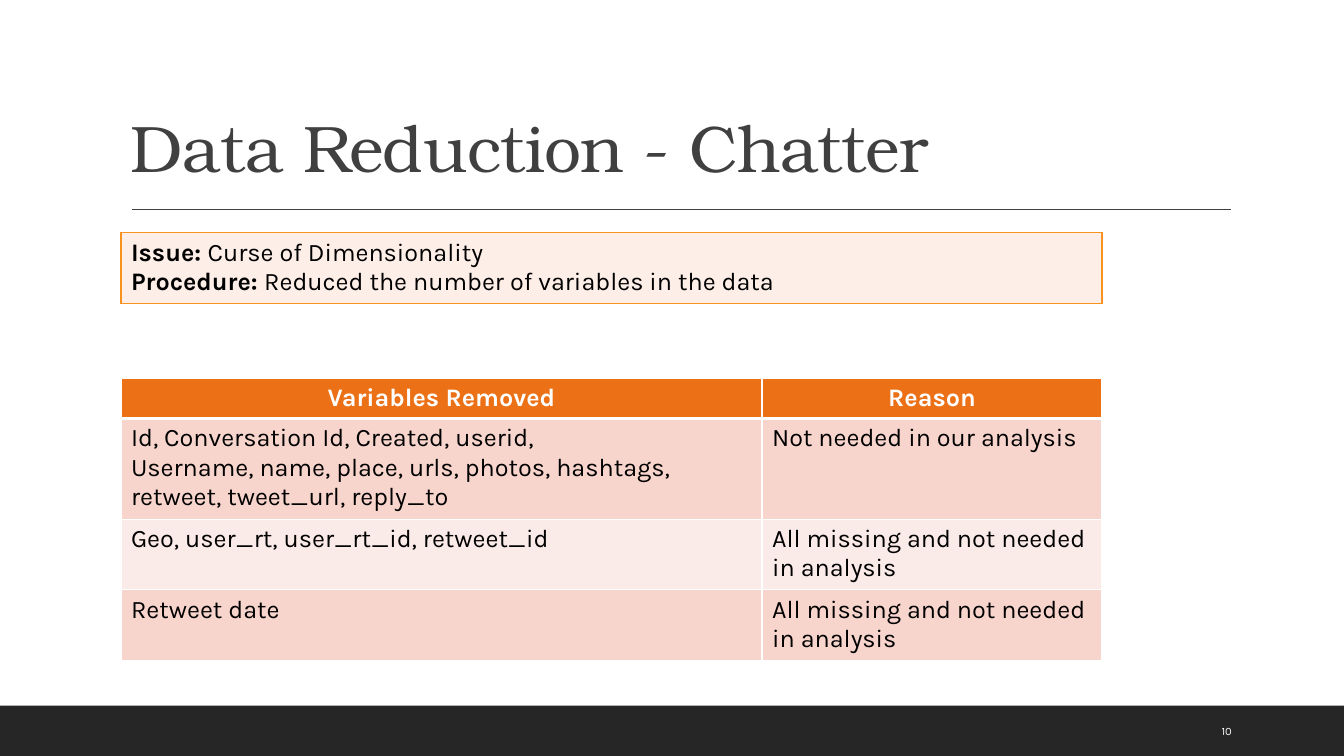
from typing import NamedTuple, Sequence

import pptx
import pptx.dml.color
import pptx.enum.shapes
import pptx.enum.text
import pptx.oxml
import pptx.oxml.ns
import pptx.util

COLOURS = {
    "ink": "000000", "paper": "FFFFFF", "title": "404040", "footer": "262626",
    "header": "EC7016", "band": "F8D5CC", "light_band": "FBEBE8",
    "note": "FEEEE8", "note_edge": "F8931D",
}
BODY_FONT = "Karla"
TITLE_FONT = "TeX Gyre Bonum"
SLIDE_WIDTH = pptx.util.Inches(13.333)
SLIDE_HEIGHT = pptx.util.Inches(7.5)
LEFT, TABLE_WIDTH = 9, 73


class Box(NamedTuple):
    """Left, top, width and height as percentages of the slide."""
    left: float
    top: float
    width: float
    height: float


class Style(NamedTuple):
    size: float
    colour: str
    font: str = BODY_FONT
    bold: bool = False


class Row(NamedTuple):
    height: float
    fill: str
    texts: Sequence[str]


def across(percent: float) -> int:
    return round(SLIDE_WIDTH * percent / 100)


def down(percent: float) -> int:
    return round(SLIDE_HEIGHT * percent / 100)


def place(box: Box) -> tuple[int, int, int, int]:
    return across(box.left), down(box.top), across(box.width), down(box.height)


def rgb(name: str) -> pptx.dml.color.RGBColor:
    return pptx.dml.color.RGBColor.from_string(COLOURS[name])


def style_run(run, style: Style) -> None:
    run.font.name = style.font
    run.font.size = pptx.util.Pt(style.size)
    run.font.bold = style.bold
    run.font.color.rgb = rgb(style.colour)


def add_text(slide, box: Box, text: str, style: Style, anchor):
    frame = slide.shapes.add_textbox(*place(box)).text_frame
    frame.word_wrap = True
    frame.vertical_anchor = anchor
    frame.text = text
    style_run(frame.paragraphs[0].runs[0], style)
    return frame.paragraphs[0]


def add_border(cell, side: str, colour: str, points: float) -> None:
    cell._tc.get_or_add_tcPr().append(pptx.oxml.parse_xml(
        f'<a:ln{side} {pptx.oxml.ns.nsdecls("a")} w="{pptx.util.Pt(points)}">'
        f'<a:solidFill><a:srgbClr val="{COLOURS[colour]}"/></a:solidFill>'
        f'</a:ln{side}>'))


def add_grid(slide, top: float, columns: Sequence[float], rows: Sequence[Row], edge: str):
    """Add a table with filled cells and plain borders."""
    box = Box(LEFT, top, sum(columns), sum(row.height for row in rows))
    grid = slide.shapes.add_table(len(rows), len(columns), *place(box)).table
    grid.first_row = grid.horz_banding = False
    for column, width in zip(grid.columns, columns):
        column.width = across(width)
    for row_index, row in enumerate(rows):
        grid.rows[row_index].height = down(row.height)
        for column_index, text in enumerate(row.texts):
            cell = grid.cell(row_index, column_index)
            cell.text_frame.text = text
            for side in "LRTB":
                below_header = (row_index, side) in ((0, "B"), (1, "T"))
                add_border(cell, side, edge, 3 if below_header and len(rows) > 1 else 1)
            cell.fill.solid()
            cell.fill.fore_color.rgb = rgb(row.fill)
            for paragraph in cell.text_frame.paragraphs:
                for run in paragraph.runs:
                    style_run(run, Style(18, "ink"))
    return grid


def add_background(slide) -> None:
    footer = slide.shapes.add_shape(
        pptx.enum.shapes.MSO_SHAPE.RECTANGLE, *place(Box(0, 93.33, 100, 6.67)))
    footer.shadow.inherit = False
    footer.fill.solid()
    footer.fill.fore_color.rgb = rgb("footer")
    footer.line.fill.background()
    rule = slide.shapes.add_connector(
        pptx.enum.shapes.MSO_CONNECTOR.STRAIGHT,
        across(9.83), down(27.73), across(91.58), down(27.73))
    rule.line.color.rgb = rgb("title")
    rule.line.width = pptx.util.Pt(1)
    rule._element.spPr.append(
        pptx.oxml.parse_xml(f'<a:effectLst {pptx.oxml.ns.nsdecls("a")}/>'))


def add_removed_variables(slide) -> None:
    missing = "All missing and not needed in analysis"
    rows = (
        Row(5.07, "header", ("Variables Removed", "Reason")),
        Row(13.07, "band", (
            "Id, Conversation Id, Created, userid,\n"
            "Username, name, place, urls, photos, hashtags, retweet, tweet_url, reply_to",
            "Not needed in our analysis")),
        Row(9.2, "light_band", ("Geo, user_rt, user_rt_id, retweet_id", missing)),
        Row(9.2, "band", ("Retweet date", missing)),
    )
    removed = add_grid(slide, 50, (47.7, 25.3), rows, "paper")
    for heading in removed.rows[0].cells:
        paragraph = heading.text_frame.paragraphs[0]
        paragraph.alignment = pptx.enum.text.PP_ALIGN.CENTER
        style_run(paragraph.runs[0], Style(18, "paper", bold=True))


def add_issue(slide) -> None:
    statements = (("Issue: ", "Curse of Dimensionality"),
                  ("Procedure: ", "Reduced the number of variables in the data"))
    labels = "\n".join(label for label, _ in statements)
    issue = add_grid(slide, 30.8, (TABLE_WIDTH,), (Row(9.2, "note", (labels,)),), "note_edge")
    for paragraph, (_, detail) in zip(issue.cell(0, 0).text_frame.paragraphs, statements):
        paragraph.runs[0].font.bold = True
        detail_run = paragraph.add_run()
        detail_run.text = detail
        style_run(detail_run, Style(18, "ink"))


def main() -> None:
    deck = pptx.Presentation()
    deck.slide_width, deck.slide_height = SLIDE_WIDTH, SLIDE_HEIGHT
    slide = deck.slides.add_slide(deck.slide_layouts[6])
    add_background(slide)
    anchors = pptx.enum.text.MSO_ANCHOR
    title = add_text(slide, Box(LEFT, 4.13, 82.5, 21.2), "Data Reduction - Chatter",
                     Style(47, "title", TITLE_FONT), anchors.BOTTOM)
    title.line_spacing = 0.9
    title.runs[0].font._element.set("spc", "-50")
    add_removed_variables(slide)
    add_issue(slide)
    add_text(slide, Box(90.15, 94, 6.38, 5.33), "10", Style(8, "paper"), anchors.MIDDLE)
    deck.save("out.pptx")


if __name__ == "__main__":
    main()
